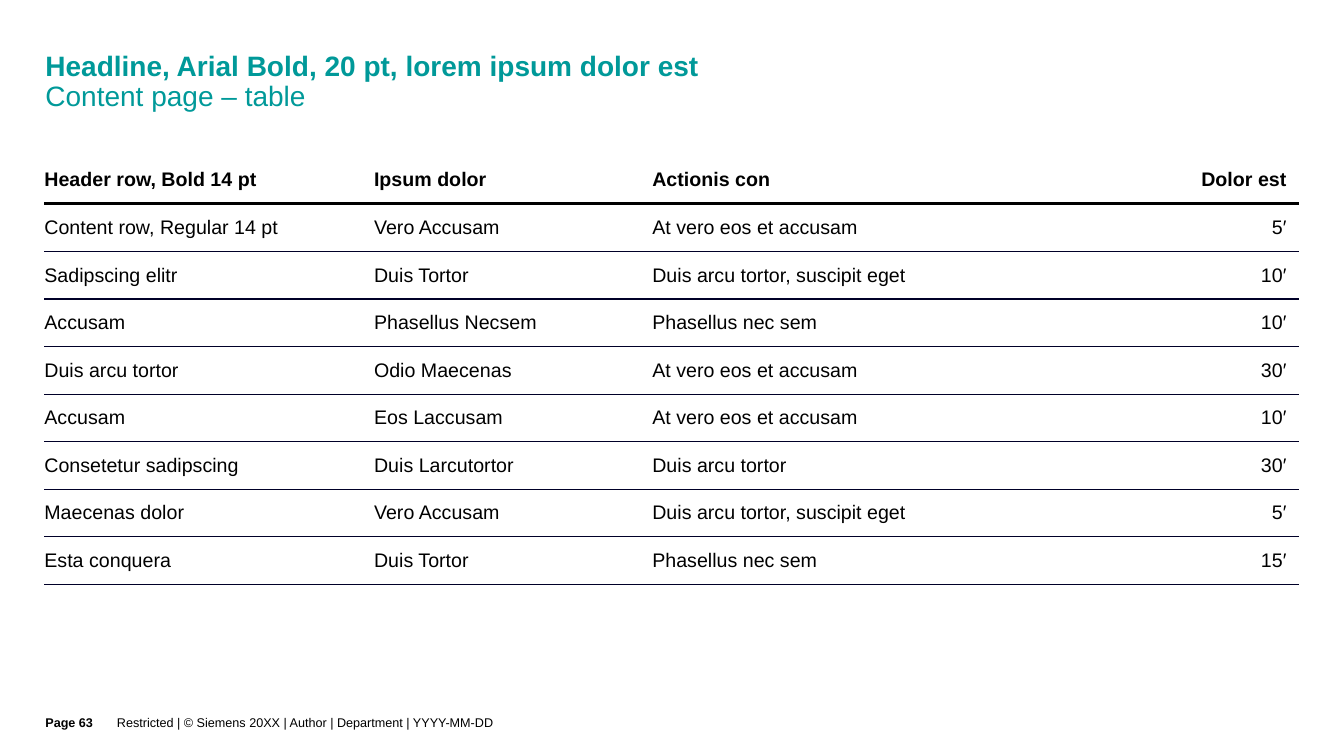
from lxml.etree import SubElement
from pptx import Presentation
from pptx.dml.color import RGBColor
from pptx.enum.text import MSO_ANCHOR, PP_ALIGN
from pptx.oxml.ns import qn
from pptx.util import Inches, Pt

HEADLINE = "Headline, Arial Bold, 20 pt, lorem ipsum dolor est"
SUBTITLE = "Content page – table"
ROWS = [
    ("Header row, Bold 14 pt", "Ipsum dolor", "Actionis con", "Dolor est"),
    ("Content row, Regular 14 pt", "Vero Accusam", "At vero eos et accusam", "5′"),
    ("Sadipscing elitr", "Duis Tortor", "Duis arcu tortor, suscipit eget", "10′"),
    ("Accusam", "Phasellus Necsem", "Phasellus nec sem", "10′"),
    ("Duis arcu tortor", "Odio Maecenas", "At vero eos et accusam", "30′"),
    ("Accusam", "Eos Laccusam", "At vero eos et accusam", "10′"),
    ("Consetetur sadipscing", "Duis Larcutortor", "Duis arcu tortor", "30′"),
    ("Maecenas dolor", "Vero Accusam", "Duis arcu tortor, suscipit eget", "5′"),
    ("Esta conquera", "Duis Tortor", "Phasellus nec sem", "15′"),
]
COLUMN_WIDTHS = [3.15, 2.76, 4.72, 1.81]
TABLE_HEIGHT = 4.25
FOOTERS = [
    ("Restricted | © Siemens 20XX | Author | Department | YYYY-MM-DD", 1.16, 10.08, False),
    ("Page 63", 0.45, 0.71, True),
]
TEAL, BLACK, NAVY = "009999", "000000", "000028"
HEADER_RULE, ROW_RULE = (BLACK, 2.25), (NAVY, 1)


def set_font(paragraph, size, color, bold=None):
    font = paragraph.font
    font.name = "Arial"
    font.size = Pt(size)
    font.bold = bold
    font.color.rgb = RGBColor.from_string(color)


def set_margins(target, left, top, right, bottom):
    target.margin_left, target.margin_top = Inches(left), Inches(top)
    target.margin_right, target.margin_bottom = Inches(right), Inches(bottom)


def set_borders(cell, top, bottom):
    properties = cell._tc.get_or_add_tcPr()
    for side, rule in (("L", None), ("R", None), ("T", top), ("B", bottom)):
        line = SubElement(properties, qn(f"a:ln{side}"))
        if rule is None:
            line.set("w", "0")
            SubElement(line, qn("a:noFill"))
        else:
            color, width = rule
            line.set("w", str(Pt(width)))
            fill = SubElement(line, qn("a:solidFill"))
            SubElement(fill, qn("a:srgbClr")).set("val", color)


def add_title(slide):
    title = slide.shapes.title
    title.left, title.top = Inches(0.45), Inches(0.52)
    title.width, title.height = Inches(10.79), Inches(0.63)
    frame = title.text_frame
    frame.word_wrap = True
    frame.vertical_anchor = MSO_ANCHOR.TOP
    set_margins(frame, 0, 0, 0.35, 0.02)
    paragraph = frame.paragraphs[0]
    paragraph.alignment = PP_ALIGN.LEFT
    paragraph.line_spacing = 0.9
    set_font(paragraph, 20, TEAL)
    headline = paragraph.add_run()
    headline.text = HEADLINE
    headline.font.bold = True
    paragraph.add_line_break()
    subtitle = paragraph.add_run()
    subtitle.text = SUBTITLE
    subtitle.font.bold = False


def add_schedule(slide):
    table = slide.shapes.add_table(
        len(ROWS), len(COLUMN_WIDTHS), Inches(0.44), Inches(1.55),
        Inches(sum(COLUMN_WIDTHS)), Inches(TABLE_HEIGHT)).table
    table.first_row = True
    table.horz_banding = False
    for column, width in zip(table.columns, COLUMN_WIDTHS):
        column.width = Inches(width)
    rules = [None, HEADER_RULE] + [ROW_RULE] * (len(ROWS) - 1)
    last_column = len(COLUMN_WIDTHS) - 1
    for row_index, values in enumerate(ROWS):
        table.rows[row_index].height = Inches(TABLE_HEIGHT / len(ROWS))
        for column_index, value in enumerate(values):
            cell = table.cell(row_index, column_index)
            cell.text = value
            cell.vertical_anchor = MSO_ANCHOR.MIDDLE
            set_margins(cell, 0.12 if column_index else 0, 0.04, 0.12, 0.04)
            set_borders(cell, rules[row_index], rules[row_index + 1])
            cell.fill.background()
            paragraph = cell.text_frame.paragraphs[0]
            paragraph.alignment = PP_ALIGN.RIGHT if column_index == last_column else PP_ALIGN.LEFT
            set_font(paragraph, 14, BLACK, row_index == 0)


def add_footer(slide, text, left, width, bold):
    box = slide.shapes.add_textbox(Inches(left), Inches(6.9), Inches(width), Inches(0.6))
    frame = box.text_frame
    frame.word_wrap = True
    frame.vertical_anchor = MSO_ANCHOR.MIDDLE
    set_margins(frame, 0, 0, 0, 0.07)
    paragraph = frame.paragraphs[0]
    paragraph.text = text
    set_font(paragraph, 9, BLACK, bold)


def main():
    presentation = Presentation()
    presentation.slide_width = Inches(13.33)
    presentation.slide_height = Inches(7.5)
    slide = presentation.slides.add_slide(presentation.slide_layouts[5])
    add_title(slide)
    add_schedule(slide)
    for footer in FOOTERS:
        add_footer(slide, *footer)
    presentation.save("out.pptx")


if __name__ == "__main__":
    main()
